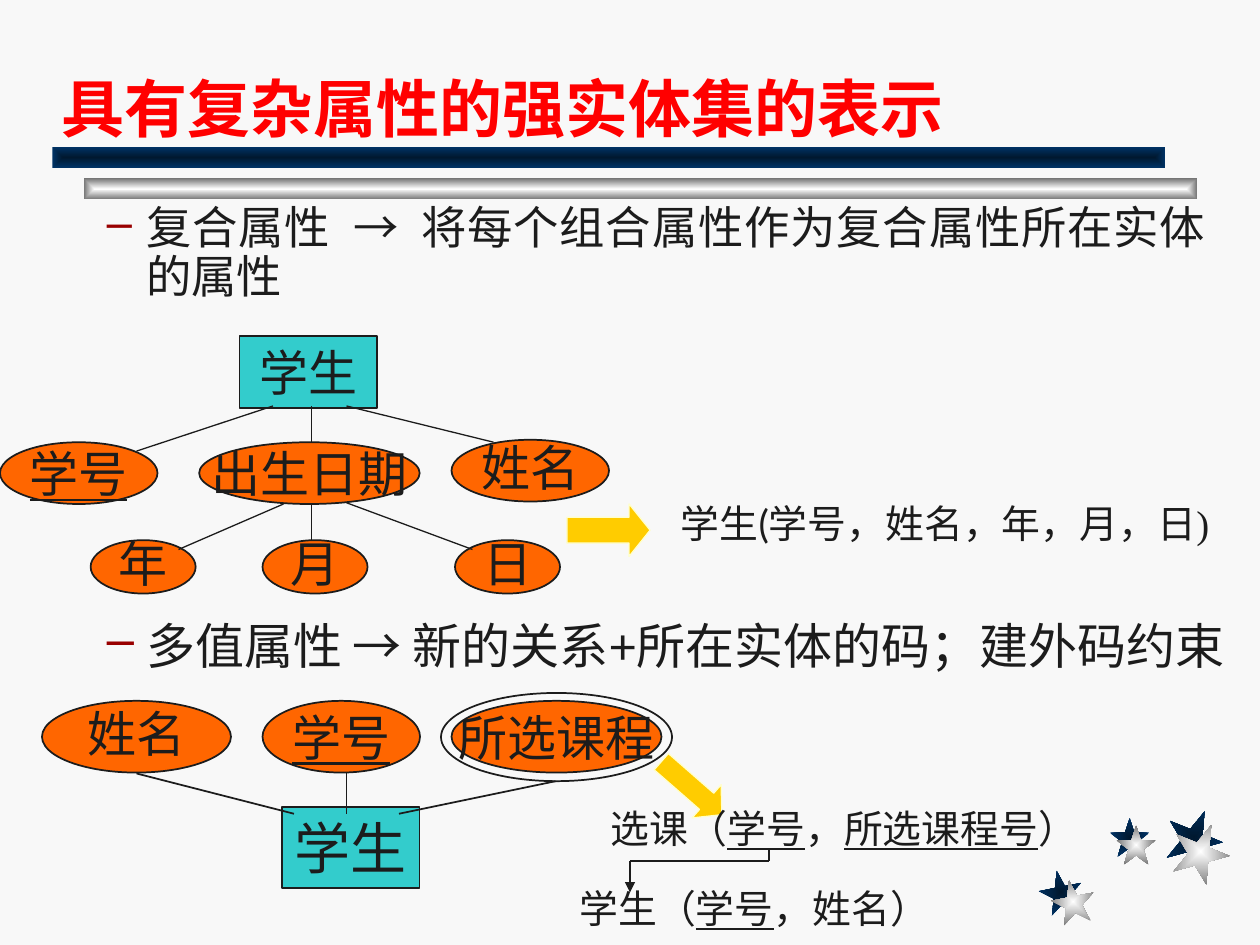
from lxml import etree
from pptx import Presentation
from pptx.dml.color import RGBColor
from pptx.enum.lang import MSO_LANGUAGE_ID
from pptx.enum.shapes import MSO_CONNECTOR, MSO_SHAPE
from pptx.enum.text import MSO_ANCHOR, PP_ALIGN
from pptx.oxml.ns import qn
from pptx.util import Pt

RECTANGLE = MSO_SHAPE.RECTANGLE
ELLIPSE = MSO_SHAPE.OVAL
RIGHT_ARROW = MSO_SHAPE.RIGHT_ARROW
STAR = MSO_SHAPE.STAR_5_POINT
STRAIGHT = MSO_CONNECTOR.STRAIGHT
LEFT, CENTER, JUSTIFY = PP_ALIGN.LEFT, PP_ALIGN.CENTER, PP_ALIGN.JUSTIFY
TOP, MIDDLE, BOTTOM = MSO_ANCHOR.TOP, MSO_ANCHOR.MIDDLE, MSO_ANCHOR.BOTTOM
CHINESE = MSO_LANGUAGE_ID.SIMPLIFIED_CHINESE

INK = "1C1C1C"
NAVY = ("00182F", "003366")
SILVER = ("FFFFFF", "767676")
SANS, SERIF, LATO = "Noto Sans CJK SC", "Times New Roman", "Lato"


def color(hex_string):
    return RGBColor.from_string(hex_string)


def add_run(paragraph, text, size, font, ink=INK, bold=False, underline=False):
    run = paragraph.add_run()
    run.text = text
    run.font.size = Pt(size)
    run.font.name = font
    run.font.bold = bold
    run.font.underline = underline
    run.font.language_id = CHINESE
    run.font.color.rgb = color(ink)
    east_asian = etree.SubElement(run.font._element, qn("a:ea"))
    east_asian.set("typeface", SANS)


def add_shape(slide, kind, box, fill=None, line=None, width=1):
    shape = slide.shapes.add_shape(kind, *map(Pt, box))
    shape.shadow.inherit = False
    if fill:
        shape.fill.solid()
        shape.fill.fore_color.rgb = color(fill)
    else:
        shape.fill.background()
    if line:
        shape.line.color.rgb = color(line)
        shape.line.width = Pt(width)
    else:
        shape.line.fill.background()
    return shape


def add_glow(slide, kind, box, colors, rotation=0):
    """Add a shape whose gradient runs from its centre to its edges."""
    shape = add_shape(slide, kind, box)
    shape.rotation = rotation
    shape.fill.gradient()
    for stop, position, hex_string in zip(shape.fill.gradient_stops, (0, 1), colors):
        stop.position = position
        stop.color.rgb = color(hex_string)
    gradient = shape._element.spPr.find(qn("a:gradFill"))
    gradient.remove(gradient.find(qn("a:lin")))
    rectangle = etree.SubElement(gradient, qn("a:path"))
    rectangle.set("path", "rect")
    center = etree.SubElement(rectangle, qn("a:fillToRect"))
    for side in "ltrb":
        center.set(side, "50000")


def add_node(slide, kind, box, text, fill, size=28, key=False, tight=False):
    """Add an entity or attribute; a key attribute is underlined."""
    shape = add_shape(slide, kind, box, fill, INK)
    frame = shape.text_frame
    frame.word_wrap = False
    frame.vertical_anchor = MIDDLE
    paragraph = frame.paragraphs[0]
    paragraph.alignment = CENTER
    paragraph.space_before = Pt(7 if tight else size * 0.625)
    if tight:
        paragraph.line_spacing = 0.9
    add_run(paragraph, text, size, SERIF, underline=key)


def add_entity(slide, box, size):
    add_node(slide, RECTANGLE, box, "学生", "33CCCC", size)


def add_attribute(slide, box, text, key=False, tight=False):
    add_node(slide, ELLIPSE, box, text, "FF6600", key=key, tight=tight)


def add_line(slide, start, end, width, arrow=False):
    line = slide.shapes.add_connector(STRAIGHT, *map(Pt, start + end))
    line.line.color.rgb = color(INK)
    line.line.width = Pt(width)
    if arrow:
        etree.SubElement(line.line._get_or_add_ln(), qn("a:tailEnd")).set("type", "triangle")
    etree.SubElement(line._element.spPr, qn("a:effectLst"))


def add_text(slide, box, alignment=LEFT, anchor=TOP):
    frame = slide.shapes.add_textbox(*map(Pt, box)).text_frame
    frame.word_wrap = True
    frame.vertical_anchor = anchor
    paragraph = frame.paragraphs[0]
    paragraph.alignment = alignment
    return paragraph


def add_item(slide, box, size, runs, alignment=LEFT, space=6, dash=False):
    """Add a second-level line of (text, font, underlined) runs."""
    paragraph = add_text(slide, box, alignment)
    paragraph.level = 1
    paragraph.space_before = Pt(space)
    properties = paragraph._p.get_or_add_pPr()
    properties.set("marL", str(Pt(58.5)))
    properties.set("indent", str(Pt(-22.5)))
    if dash:
        bullet_color = etree.SubElement(properties, qn("a:buClr"))
        etree.SubElement(bullet_color, qn("a:srgbClr")).set("val", "990000")
        etree.SubElement(properties, qn("a:buChar")).set("char", "–")
    for text, font, underline in runs:
        add_run(paragraph, text, size, font, underline=underline)
    return paragraph


def add_block_arrow(slide, box, head, rotation=0):
    arrow = add_shape(slide, RIGHT_ARROW, box, "FFCC00", "FFFFCC", 0.75)
    arrow.adjustments[0], arrow.adjustments[1] = 0.49, head
    arrow.rotation = rotation


def add_decoration(slide):
    stars = (
        (NAVY, ((594, 497.5, 24.5, 349), (634.3, 467.3, 22.5, 0), (666, 462.5, 32.5, 22))),
        (SILVER, ((601, 503, 24.5, 349), (638, 471.6, 22.5, 0), (669.8, 470.3, 32.5, 22))),
    )
    for colors, places in stars:
        for left, top, size, rotation in places:
            add_glow(slide, STAR, (left, top, size, size), colors, rotation)
    add_glow(slide, RECTANGLE, (48, 102, 636, 12), SILVER)
    add_glow(slide, RECTANGLE, (30, 84, 636, 12), NAVY)


def add_composite_tree(slide):
    add_entity(slide, (136.8, 192.2, 78.5, 41), 28)
    add_attribute(slide, (258, 251.3, 90, 35.3), "姓名", tight=True)
    add_attribute(slide, (0, 252.7, 90, 35.3), "学号", key=True)
    add_attribute(slide, (113.8, 252.7, 126, 35.3), "出生日期")
    for left, text in ((51.8, "年"), (150, "月"), (260, "日")):
        add_attribute(slide, (left, 308.7, 60, 30.5), text, tight=True)
    for start, end in (
        ((178, 232), (178, 252.7)), ((178, 288), (178, 309)),
        ((162, 288), (102, 314)), ((198, 287.3), (270, 314)),
        ((156, 232), (78, 257.8)), ((198, 232), (282, 252.7)),
    ):
        add_line(slide, start, end, 0.75)


def add_multivalued_tree(slide):
    add_entity(slide, (161.3, 461.3, 78.5, 46), 32)
    add_attribute(slide, (24, 400.5, 108, 41), "姓名", tight=True)
    add_attribute(slide, (150, 400.5, 90, 41), "学号", key=True)
    add_attribute(slide, (258, 400.5, 120, 41), "所选课程")
    for start, end in (
        ((198, 442), (198, 465)), ((168, 465), (78, 442)), ((228, 465), (317.5, 446.4)),
    ):
        add_line(slide, start, end, 1)
    add_shape(slide, ELLIPSE, (252, 396, 132, 50.4), line=INK)


def main():
    presentation = Presentation()
    presentation.slide_width, presentation.slide_height = Pt(720), Pt(540)
    slide = presentation.slides.add_slide(presentation.slide_layouts[6])
    slide.background.fill.solid()
    slide.background.fill.fore_color.rgb = color("F8F8F8")

    add_decoration(slide)
    title = add_text(slide, (28, 13, 613.5, 73.4), anchor=BOTTOM)
    add_run(title, "具有复杂属性的强实体集的表示", 36, SANS, "FF0000", bold=True)

    add_item(slide, (18, 348, 702, 42), 28, (
        ("多值属性 ", LATO, False), ("→", "Arial", False),
        (" 新的关系+所在实体的码；建外码约束", LATO, False),
    ), JUSTIFY, 7, dash=True)
    add_block_arrow(slide, (372.2, 437.8, 46, 25.2), 0.46, 41.2)
    add_item(slide, (306, 456, 336, 36), 22.2, (
        ("选课（", LATO, False), ("学号", SERIF, True), ("，", SERIF, False),
        ("所选课程号", SERIF, True), ("）", SERIF, False),
    ))
    add_multivalued_tree(slide)

    composite = add_item(slide, (18, 114, 678, 72), 25.9, (
        ("复合属性  ", "Noto Sans CJK JP", False), ("→", "Arial", False),
        ("  将每个组合属性作为复合属性所在实体的属性", "Noto Sans CJK JP", False),
    ), JUSTIFY, 7, dash=True)
    composite.line_spacing = 0.9
    add_composite_tree(slide)
    add_item(slide, (330, 282, 384, 42), 22.2, (
        ("学生(", LATO, False), ("学号，姓名，年，月，日)", SERIF, False),
    ), CENTER)
    add_block_arrow(slide, (324, 288, 47.5, 30), 0.4)

    add_item(slide, (288, 502, 336, 36), 22.2, (
        ("学生（", LATO, False), ("学号", SERIF, True), ("，姓名）", SERIF, False),
    ))
    add_line(slide, (360, 492), (360, 510), 0.75, arrow=True)
    add_line(slide, (360, 492), (439.5, 492), 0.75)
    add_line(slide, (439.5, 492), (439.5, 485.5), 0.75)
    presentation.save("out.pptx")


if __name__ == "__main__":
    main()
